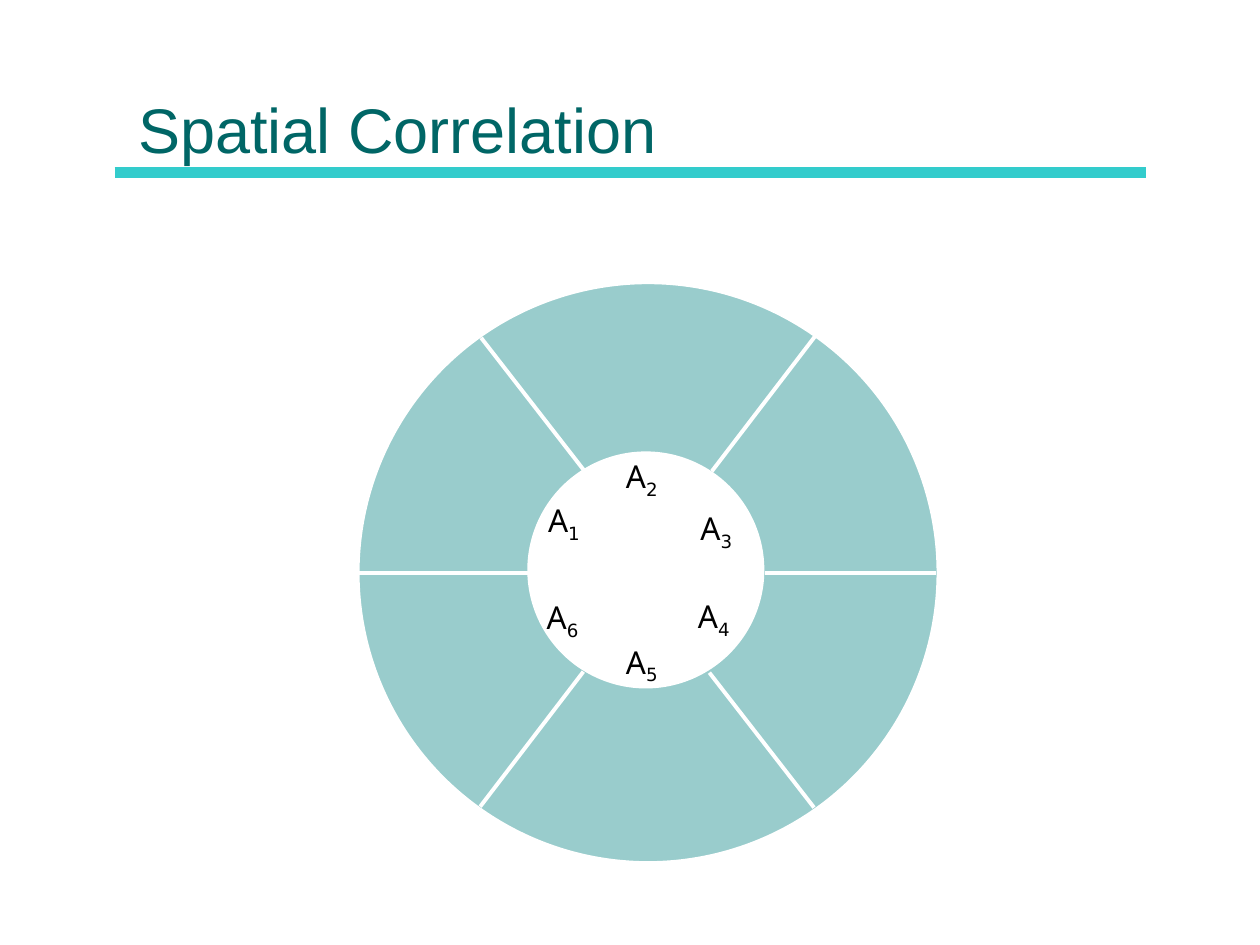
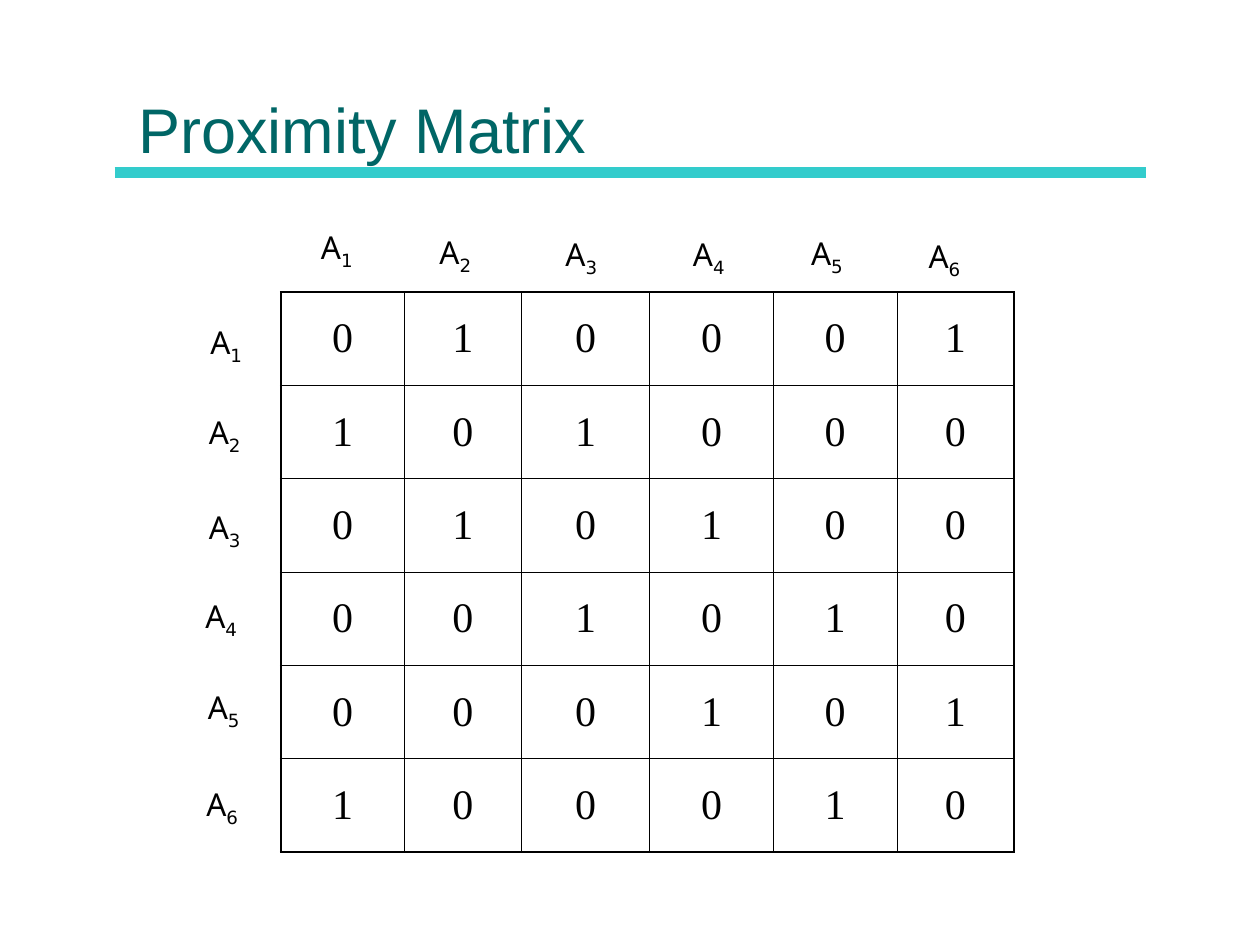
from typing import NamedTuple

from lxml.etree import SubElement
from pptx import Presentation
from pptx.dml.color import RGBColor
from pptx.enum.shapes import MSO_CONNECTOR as Connector, MSO_SHAPE as Shape
from pptx.enum.text import MSO_ANCHOR as Anchor, PP_ALIGN as Align
from pptx.oxml import parse_xml
from pptx.oxml.ns import nsdecls, qn
from pptx.util import Cm, Pt

TITLE_TEAL = RGBColor(0x00, 0x66, 0x66)
BAND_TURQUOISE = RGBColor(0x33, 0xCC, 0xCC)
RING_TEAL = RGBColor(0x99, 0xCC, 0xCC)
WHITE = RGBColor(0xFF, 0xFF, 0xFF)
BLACK = RGBColor(0x00, 0x00, 0x00)

AREA_COUNT = 6
COLUMN_WIDTHS = [2.49, 2.36, 2.59, 2.49, 2.49, 2.36]
ROW_HEIGHT = 1.88
INNER_BORDER = 0.45
OUTER_BORDER = 1.08


class Point(NamedTuple):
    x: float
    y: float


class Line(NamedTuple):
    start: Point
    end: Point


class Disc(NamedTuple):
    left: float
    top: float
    diameter: float
    fill: RGBColor


TITLE_BAND = Line(Point(2.31, 3.48), Point(23.11, 3.48))
DISCS = [Disc(7.21, 5.69, 11.71, RING_TEAL), Disc(10.67, 9.14, 4.7, WHITE)]
SPOKES = [
    Line(Point(9.7, 6.81), Point(11.81, 9.53)),
    Line(Point(16.43, 6.78), Point(14.35, 9.5)),
    Line(Point(9.68, 16.26), Point(11.76, 13.54)),
    Line(Point(16.41, 16.28), Point(14.3, 13.56)),
    Line(Point(7.19, 11.56), Point(10.64, 11.56)),
    Line(Point(15.42, 11.56), Point(18.87, 11.56)),
]
# Label corners, in the order A1 to A6
RING_LABELS = [Point(10.8, 9.98), Point(12.37, 9.09), Point(13.87, 10.13),
               Point(13.82, 11.91), Point(12.37, 12.83), Point(10.77, 11.94)]
COLUMN_LABELS = [Point(6.22, 4.47), Point(8.61, 4.57), Point(11.15, 4.62),
                 Point(13.72, 4.62), Point(16.1, 4.6), Point(18.47, 4.65)]
ROW_LABELS = [Point(3.99, 6.38), Point(3.96, 8.2), Point(3.96, 10.11),
              Point(3.89, 11.91), Point(3.94, 13.74), Point(3.91, 15.7)]


def add_text(para, text: str, *, font: str, size: float,
             color: RGBColor = BLACK, baseline: int = 0) -> None:
    """Append a formatted run; baseline is a percentage, negative for subscript."""
    span = para.add_run()
    span.text = text
    span.font.name = font
    span.font.size = Pt(size)
    span.font.color.rgb = color
    if baseline:
        span._r.get_or_add_rPr().set("baseline", str(baseline * 1000))


def add_box(page, left: float, top: float, width: float, height: float,
            anchor: Anchor = Anchor.TOP):
    """Add a wrapping text box and return its first paragraph."""
    frame = page.shapes.add_textbox(Cm(left), Cm(top), Cm(width), Cm(height)).text_frame
    frame.word_wrap = True
    frame.vertical_anchor = anchor
    return frame.paragraphs[0]


def add_line(shapes, line: Line, color: RGBColor, width: float) -> None:
    connector = shapes.add_connector(
        Connector.STRAIGHT, *(Cm(value) for point in line for value in point))
    connector.line.color.rgb = color
    connector.line.width = Pt(width)
    SubElement(connector._element.spPr, qn("a:effectLst"))


def add_disc(shapes, disc: Disc) -> None:
    ellipse = shapes.add_shape(Shape.OVAL, Cm(disc.left), Cm(disc.top),
                               Cm(disc.diameter), Cm(disc.diameter))
    ellipse.shadow.inherit = False
    ellipse.fill.solid()
    ellipse.fill.fore_color.rgb = disc.fill
    ellipse.line.color.rgb = WHITE
    ellipse.line.width = Pt(2.25)


def add_area_labels(page, corners: list[Point]) -> None:
    for number, corner in enumerate(corners, start=1):
        para = add_box(page, corner.x, corner.y, 1.4, 1.12)
        add_text(para, "A", font="Noto Sans", size=18)
        add_text(para, str(number), font="DejaVu Sans", size=18, baseline=-25)


def add_page(deck, title: str):
    """Add a blank page with the shared band and title."""
    page = deck.slides.add_slide(deck.slide_layouts[6])
    add_line(page.shapes, TITLE_BAND, BAND_TURQUOISE, 6)
    para = add_box(page, 2.54, 0.3, 20.32, 3.18, Anchor.BOTTOM)
    add_text(para, title, font="Arial", size=36, color=TITLE_TEAL)
    return page


def set_borders(cell, row: int, column: int) -> None:
    """Draw thick borders on the table's outer edge and thin ones inside."""
    last = AREA_COUNT - 1
    on_edge = {"L": column == 0, "R": column == last, "T": row == 0, "B": row == last}
    properties = cell._tc.get_or_add_tcPr()
    for index, (side, outer) in enumerate(on_edge.items()):
        width = Pt(OUTER_BORDER if outer else INNER_BORDER)
        properties.insert(index, parse_xml(
            f'<a:ln{side} {nsdecls("a")} w="{width}"><a:solidFill>'
            f'<a:srgbClr val="{BLACK}"/></a:solidFill></a:ln{side}>'))


def add_proximity_table(page) -> None:
    """Fill the matrix with 1 where two areas are neighbours on the ring."""
    table = page.shapes.add_table(
        AREA_COUNT, AREA_COUNT, Cm(5.66), Cm(5.89),
        Cm(sum(COLUMN_WIDTHS)), Cm(ROW_HEIGHT * AREA_COUNT)).table
    table.first_row = table.horz_banding = False
    for column, width in zip(table.columns, COLUMN_WIDTHS):
        column.width = Cm(width)
    for row in range(AREA_COUNT):
        table.rows[row].height = Cm(ROW_HEIGHT)
        for column in range(AREA_COUNT):
            cell = table.cell(row, column)
            cell.fill.background()
            cell.vertical_anchor = Anchor.MIDDLE
            set_borders(cell, row, column)
            adjacent = (row - column) % AREA_COUNT in (1, AREA_COUNT - 1)
            para = cell.text_frame.paragraphs[0]
            para.alignment = Align.CENTER
            add_text(para, "1" if adjacent else "0", font="Times New Roman", size=24)


def build_correlation_page(deck) -> None:
    page = add_page(deck, "Spatial Correlation")
    ring = page.shapes.add_group_shape()
    for disc in DISCS:
        add_disc(ring.shapes, disc)
    for spoke in SPOKES:
        add_line(ring.shapes, spoke, WHITE, 2.25)
    add_area_labels(page, RING_LABELS)


def build_matrix_page(deck) -> None:
    page = add_page(deck, "Proximity Matrix")
    add_proximity_table(page)
    add_area_labels(page, COLUMN_LABELS)
    add_area_labels(page, ROW_LABELS)


def main() -> None:
    deck = Presentation()
    deck.slide_width, deck.slide_height = Cm(25.4), Cm(19.05)
    build_correlation_page(deck)
    build_matrix_page(deck)
    deck.save("out.pptx")


if __name__ == "__main__":
    main()
